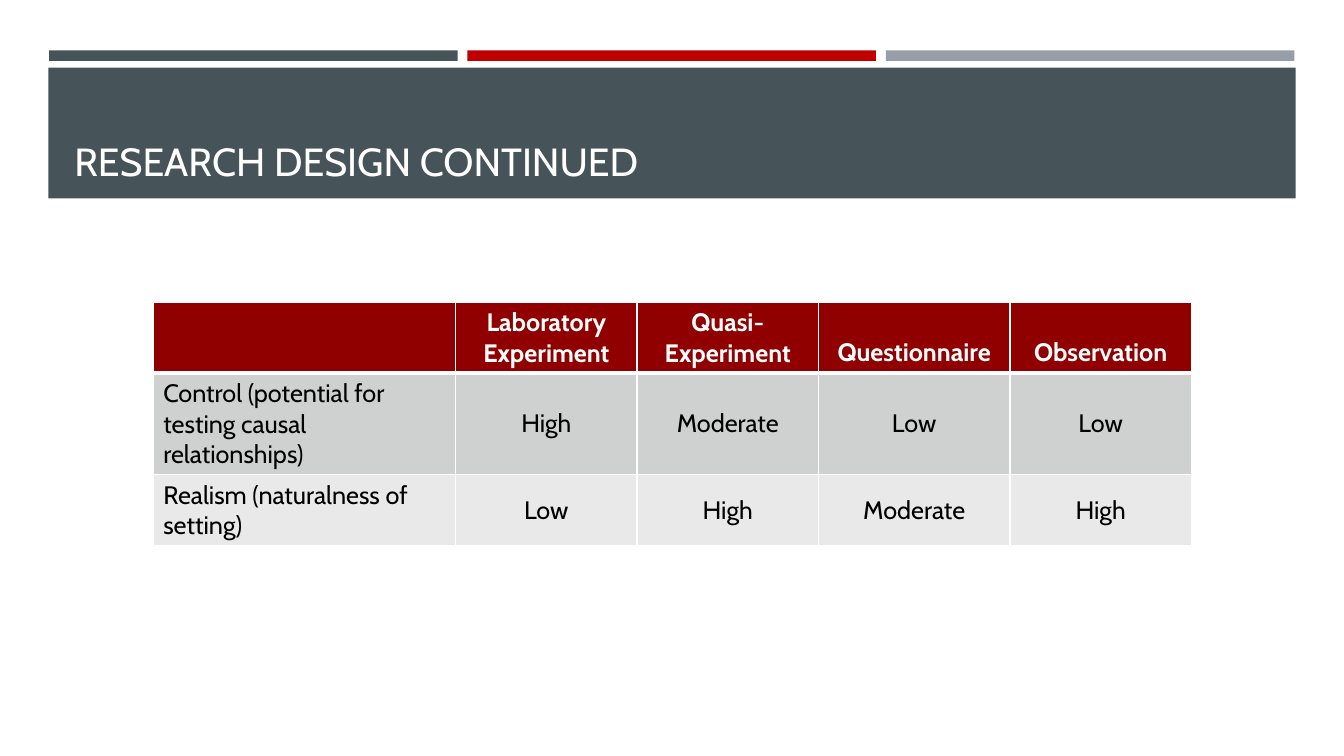
"""Build the research design slide: accent bars, title band and comparison table."""
from dataclasses import dataclass

from lxml import etree
from pptx import Presentation
from pptx.dml.color import RGBColor
from pptx.enum.shapes import MSO_SHAPE
from pptx.enum.text import MSO_ANCHOR, PP_ALIGN
from pptx.oxml.ns import qn
from pptx.slide import Slide
from pptx.table import _Cell
from pptx.util import Emu, Inches, Pt

RECT = MSO_SHAPE.RECTANGLE
TOP, MIDDLE, BOTTOM = MSO_ANCHOR.TOP, MSO_ANCHOR.MIDDLE, MSO_ANCHOR.BOTTOM
LEFT, CENTER = PP_ALIGN.LEFT, PP_ALIGN.CENTER
WIDTH, HEIGHT = Inches(13.33), Inches(7.5)


@dataclass(frozen=True)
class Theme:
    font: str = "Cabin"
    title_size: int = 28
    table_size: int = 18
    slate: str = "465359"
    red: str = "C00000"
    gray: str = "969FA7"
    header: str = "900000"
    band_dark: str = "CFD1D1"
    band_light: str = "E9E9EA"
    white: str = "FFFFFF"
    black: str = "000000"
    thin: int = 1
    thick: int = 3


@dataclass(frozen=True)
class Box:
    """A rectangle in percent of the slide's width and height."""
    left: float
    top: float
    width: float
    height: float

    def emu(self) -> tuple[Emu, Emu, Emu, Emu]:
        return across(self.left), down(self.top), across(self.width), down(self.height)


@dataclass(frozen=True)
class Panel:
    box: Box
    color: str


@dataclass(frozen=True)
class TableRow:
    height: float
    fill: str
    texts: tuple[str, ...]


THEME = Theme()
BAR_PITCH = 31.13
PANELS = [
    Panel(Box(3.65 + i * BAR_PITCH, 6.67, 30.4, 1.4), color)
    for i, color in enumerate((THEME.slate, THEME.red, THEME.gray))
] + [Panel(Box(3.6, 8.93, 92.8, 17.33), THEME.slate)]
TITLE = Box(4.8, 10.27, 90.47, 14.8)
TABLE_LEFT, TABLE_TOP = 11.4, 40
COLUMNS = (22.5, 13.5, 13.5, 14.25, 13.5)
ROWS = (
    TableRow(9.33, THEME.header, (
        "", "Laboratory Experiment", "Quasi-Experiment", "Questionnaire", "Observation")),
    TableRow(13.47, THEME.band_dark, (
        "Control (potential for testing causal relationships)",
        "High", "Moderate", "Low", "Low")),
    TableRow(9.33, THEME.band_light, (
        "Realism (naturalness of setting)", "Low", "High", "Moderate", "High")),
)


def across(percent: float) -> Emu:
    """Return a share of the slide's width."""
    return Emu(round(WIDTH * percent / 100))


def down(percent: float) -> Emu:
    """Return a share of the slide's height."""
    return Emu(round(HEIGHT * percent / 100))


def rgb(color: str) -> RGBColor:
    """Return a colour from its hex digits."""
    return RGBColor.from_string(color)


def add_panel(s: Slide, panel: Panel) -> None:
    """Draw one plain filled rectangle."""
    sp = s.shapes.add_shape(RECT, *panel.box.emu())
    sp.shadow.inherit = False
    sp.fill.solid()
    sp.fill.fore_color.rgb = rgb(panel.color)
    sp.line.fill.background()


def add_title(s: Slide, text: str) -> None:
    """Write the title at the foot of its band."""
    tf = s.shapes.add_textbox(*TITLE.emu()).text_frame
    tf.word_wrap = True
    tf.vertical_anchor = BOTTOM
    p = tf.paragraphs[0]
    p.text = text
    p.font.name = THEME.font
    p.font.size = Pt(THEME.title_size)
    p.font.color.rgb = rgb(THEME.white)


def set_borders(cell: _Cell, top: int, bottom: int) -> None:
    """Give a cell white borders of the stated top and bottom widths."""
    tc_pr = cell._tc.get_or_add_tcPr()
    widths = {"a:lnL": THEME.thin, "a:lnR": THEME.thin, "a:lnT": top, "a:lnB": bottom}
    for tag, width in widths.items():
        ln = etree.SubElement(tc_pr, qn(tag), w=str(Pt(width)))
        fill = etree.SubElement(ln, qn("a:solidFill"))
        etree.SubElement(fill, qn("a:srgbClr"), val=THEME.white)


def fill_cell(cell: _Cell, text: str, fill: str, row: int, col: int) -> None:
    """Write and style one table cell according to its place."""
    is_header = row == 0
    set_borders(cell, THEME.thick if row == 1 else THEME.thin,
                THEME.thick if is_header else THEME.thin)
    cell.fill.solid()
    cell.fill.fore_color.rgb = rgb(fill)
    cell.vertical_anchor = BOTTOM if is_header else MIDDLE if col else TOP
    p = cell.text_frame.paragraphs[0]
    p.text = text
    p.alignment = CENTER if col else LEFT
    p.font.name = THEME.font
    p.font.size = Pt(THEME.table_size)
    p.font.bold = is_header
    p.font.color.rgb = rgb(THEME.white if is_header else THEME.black)


def add_comparison(s: Slide) -> None:
    """Draw the table comparing research designs."""
    box = Box(TABLE_LEFT, TABLE_TOP, sum(COLUMNS), sum(row.height for row in ROWS))
    table = s.shapes.add_table(len(ROWS), len(COLUMNS), *box.emu()).table
    for column, width in zip(table.columns, COLUMNS):
        column.width = across(width)
    for i, row in enumerate(ROWS):
        table.rows[i].height = down(row.height)
        for j, text in enumerate(row.texts):
            fill_cell(table.cell(i, j), text, row.fill, i, j)


def main() -> None:
    """Build and save the slide."""
    prs = Presentation()
    prs.slide_width, prs.slide_height = WIDTH, HEIGHT
    s = prs.slides.add_slide(prs.slide_layouts[6])
    for panel in PANELS:
        add_panel(s, panel)
    add_title(s, "RESEARCH DESIGN CONTINUED")
    add_comparison(s)
    prs.save("out.pptx")


if __name__ == "__main__":
    main()
